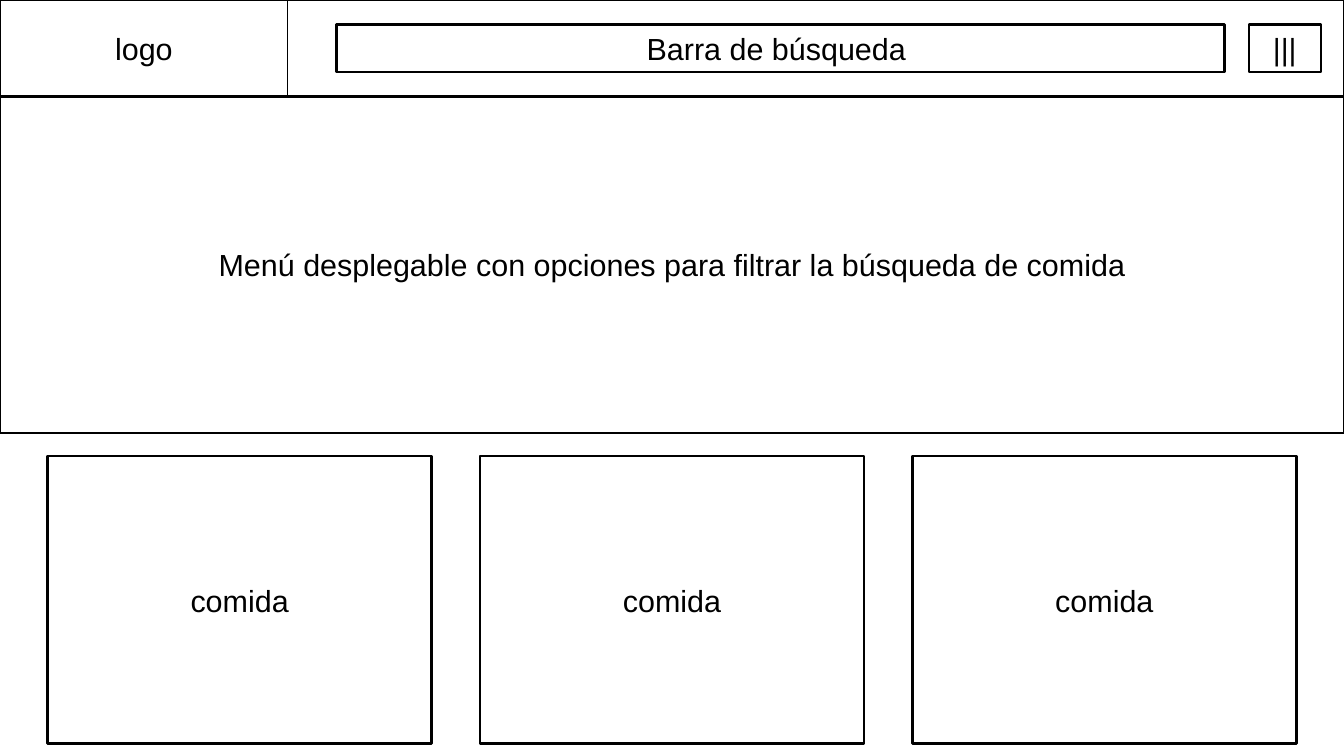
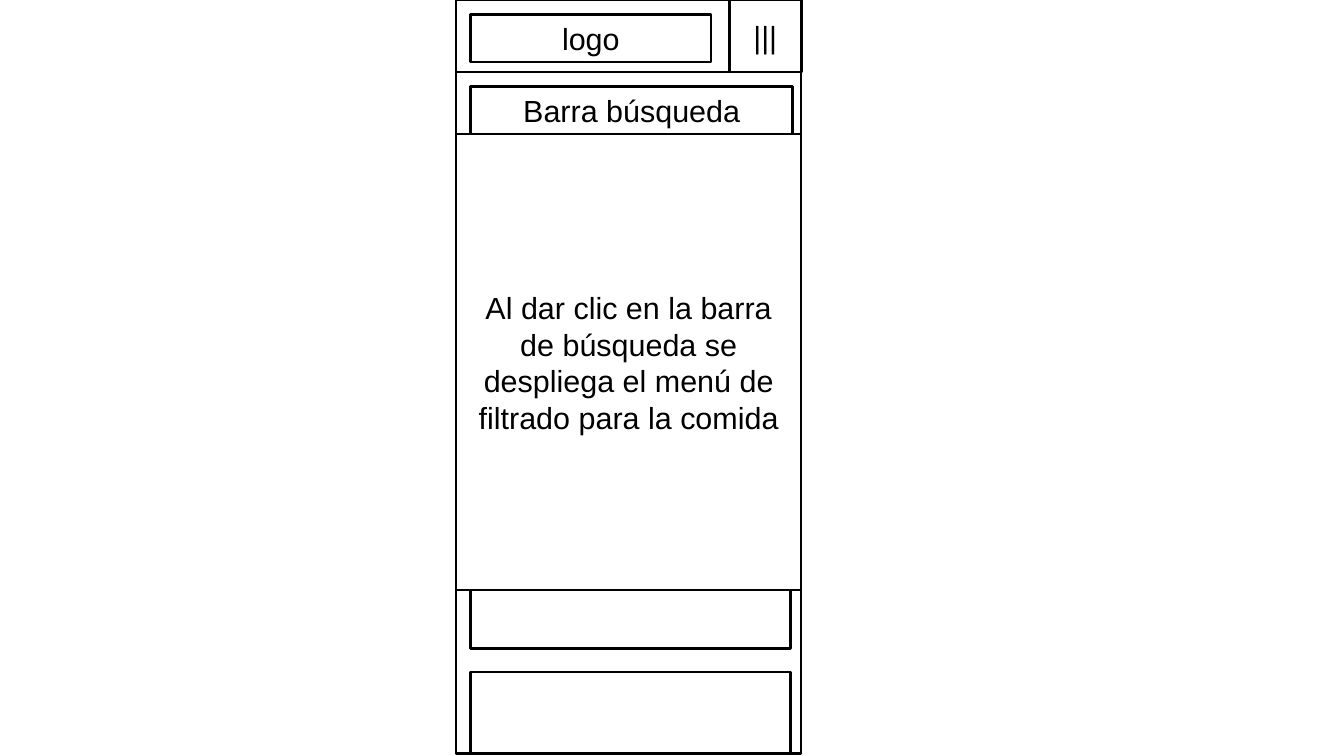
from dataclasses import dataclass

from pptx import Presentation
from pptx.dml.color import RGBColor
from pptx.enum.shapes import MSO_SHAPE
from pptx.enum.text import MSO_ANCHOR, PP_ALIGN
from pptx.slide import Slide
from pptx.util import Inches, Pt

RECT = MSO_SHAPE.RECTANGLE
MIDDLE = MSO_ANCHOR.MIDDLE
CENTER = PP_ALIGN.CENTER
BLANK_LAYOUT = 6


@dataclass(frozen=True)
class Theme:
    """Colours, type and line settings shared by both wireframes."""
    paper: RGBColor = RGBColor(0xFF, 0xFF, 0xFF)
    ink: RGBColor = RGBColor(0x00, 0x00, 0x00)
    font: str = "Arial"
    size: float = 18
    line: float = 1.5
    inset_x: float = 0.11
    inset_y: float = 0.06


@dataclass(frozen=True)
class Box:
    """One wireframe block, measured in inches."""
    left: float
    top: float
    width: float
    height: float
    text: str = ""
    line: float = Theme.line


THEME = Theme()
PAGE_W, PAGE_H = 11.02, 6.2

HEADER_H = 0.79
CARD_W, CARD_GAP, CARD_LEFT = 3.15, 0.395, 0.39
CARDS = [
    Box(CARD_LEFT + i * (CARD_W + CARD_GAP), 3.74, CARD_W, 2.36, "comida")
    for i in range(3)
]
DESKTOP = [
    Box(0, 0, PAGE_W, HEADER_H),
    Box(0, 0, 2.36, HEADER_H, "logo", line=0),
    Box(2.76, 0.2, 7.28, 0.39, "Barra de búsqueda "),
    Box(10.24, 0.2, 0.59, 0.39, "|||"),
    *CARDS,
    Box(0, HEADER_H, PAGE_W, 2.76,
        "Menú desplegable con opciones para filtrar la búsqueda de comida"),
]

PHONE_LEFT, PHONE_W, PHONE_H = 3.74, 2.83, 6.18
BAR_H = 0.59
INNER_LEFT, INNER_W = 3.86, 2.62
LAST_CARD_TOP = 5.51
MOBILE = [
    Box(PHONE_LEFT, 0, PHONE_W, PHONE_H),
    Box(PHONE_LEFT, 0, PHONE_W, BAR_H),
    Box(PHONE_LEFT + PHONE_W - BAR_H, 0, BAR_H, BAR_H, "|||"),
    Box(INNER_LEFT, 3.35, INNER_W, 1.97),
    Box(INNER_LEFT, 0.12, 1.97, 0.39, "logo"),
    Box(INNER_LEFT, 0.71, 2.64, 0.39, "Barra búsqueda"),
    Box(INNER_LEFT, LAST_CARD_TOP, INNER_W, PHONE_H - LAST_CARD_TOP),
    Box(PHONE_LEFT, 1.1, PHONE_W, 3.74,
        "Al dar clic en la barra de búsqueda se despliega el menú "
        "de filtrado para la comida"),
]


def draw_box(s: Slide, box: Box) -> None:
    """Draw an outlined block with an optional centred label."""
    sp = s.shapes.add_shape(RECT, Inches(box.left), Inches(box.top),
                            Inches(box.width), Inches(box.height))
    sp.shadow.inherit = False
    sp.fill.solid()
    sp.fill.fore_color.rgb = THEME.paper
    sp.line.color.rgb = THEME.ink
    sp.line.width = Pt(box.line)
    if box.text:
        label_box(sp.text_frame, box.text)


def label_box(tf, text: str) -> None:
    """Write and format the label of a block."""
    tf.word_wrap = True
    tf.vertical_anchor = MIDDLE
    tf.margin_left = tf.margin_right = Inches(THEME.inset_x)
    tf.margin_top = tf.margin_bottom = Inches(THEME.inset_y)
    tf.text = text
    p = tf.paragraphs[0]
    p.alignment = CENTER
    font = p.runs[0].font
    font.name = THEME.font
    font.size = Pt(THEME.size)
    font.color.rgb = THEME.ink


def main() -> None:
    """Build the desktop and mobile wireframes."""
    prs = Presentation()
    prs.slide_width, prs.slide_height = Inches(PAGE_W), Inches(PAGE_H)
    for boxes in (DESKTOP, MOBILE):
        s = prs.slides.add_slide(prs.slide_layouts[BLANK_LAYOUT])
        for box in boxes:
            draw_box(s, box)
    prs.save("out.pptx")


if __name__ == "__main__":
    main()
